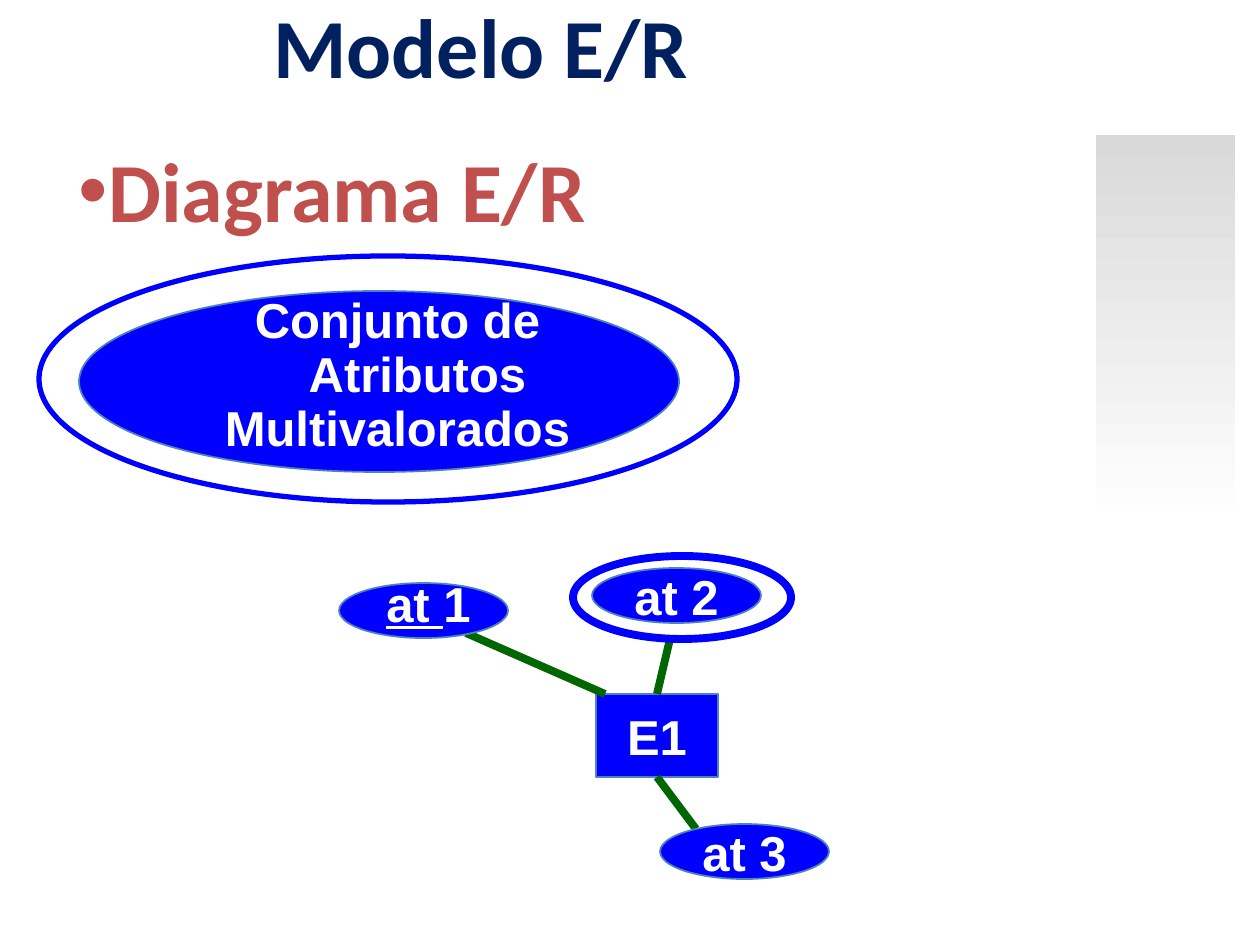
from lxml import etree
from pptx import Presentation
from pptx.dml.color import RGBColor
from pptx.enum.shapes import MSO_CONNECTOR, MSO_SHAPE
from pptx.enum.text import MSO_ANCHOR, PP_ALIGN
from pptx.oxml.ns import qn
from pptx.util import Emu, Pt

RECTANGLE, ELLIPSE = MSO_SHAPE.RECTANGLE, MSO_SHAPE.OVAL
STRAIGHT = MSO_CONNECTOR.STRAIGHT
LEFT, CENTER = PP_ALIGN.LEFT, PP_ALIGN.CENTER
TOP, MIDDLE = MSO_ANCHOR.TOP, MSO_ANCHOR.MIDDLE
NAVY = RGBColor(0x00, 0x20, 0x60)
RED = RGBColor(0xC0, 0x50, 0x4D)
BLUE = RGBColor(0x00, 0x00, 0xFF)
STEEL = RGBColor(0x4F, 0x81, 0xBD)
GREEN = RGBColor(0x00, 0x66, 0x00)
WHITE = RGBColor(0xFF, 0xFF, 0xFF)
GRAY = RGBColor(0xD9, 0xD9, 0xD9)
TOP_SIDE, BOTTOM_SIDE = 0, 2


def px(length):
    return Emu(round(length * 914400 / 126))


def write_text(frame, paragraphs, font="Arial", size=28, color=WHITE, align=CENTER,
               anchor=TOP, inset=(9, 5), line_spacing=1.0, bullet_indent=0, indents=None):
    """Fill a frame; a paragraph is a list of (text, underlined) runs or a plain string."""
    frame.word_wrap = True
    frame.vertical_anchor = anchor
    frame.margin_left = frame.margin_right = px(inset[0])
    frame.margin_top = frame.margin_bottom = px(inset[1])
    for index, content in enumerate(paragraphs):
        paragraph = frame.paragraphs[0] if index == 0 else frame.add_paragraph()
        paragraph.alignment = align
        paragraph.line_spacing = line_spacing
        paragraph.space_before = Pt(0)
        properties = paragraph._p.get_or_add_pPr()
        if bullet_indent:
            properties.set("marL", str(px(bullet_indent)))
            properties.set("indent", str(-px(bullet_indent)))
            etree.SubElement(properties, qn("a:buFont")).set("typeface", "Arial")
            etree.SubElement(properties, qn("a:buChar")).set("char", "•")
        elif indents:
            properties.set("marL", str(px(indents[index])))
        runs = [(content, False)] if isinstance(content, str) else content
        for text, underlined in runs:
            run = paragraph.add_run()
            run.text = text
            run.font.name, run.font.size, run.font.bold = font, Pt(size), True
            run.font.color.rgb = color
            run.font.underline = underlined


class Diagram:
    def __init__(self, slide):
        self.slide = slide

    def title(self, text, *box):
        title = self.slide.shapes.title
        title.left, title.top, title.width, title.height = map(px, box)
        write_text(title.text_frame, [text], font="Calibri", size=48, color=NAVY,
                   inset=(13, 6))

    def text(self, paragraphs, *box, **style):
        label = self.slide.shapes.add_textbox(*map(px, box))
        write_text(label.text_frame, paragraphs, **style)

    def shape(self, kind, *box):
        shape = self.slide.shapes.add_shape(kind, *map(px, box))
        shape.shadow.inherit = False
        return shape

    def node(self, kind, *box, label=None):
        node = self.shape(kind, *box)
        node.fill.solid()
        node.fill.fore_color.rgb = BLUE
        node.line.color.rgb, node.line.width = STEEL, Pt(1)
        if label:
            write_text(node.text_frame, [label], anchor=MIDDLE, inset=(0, 5))
            node.text_frame.word_wrap = False
        return node

    def ring(self, *box, width):
        ring = self.shape(ELLIPSE, *box)
        ring.fill.background()
        ring.line.color.rgb, ring.line.width = BLUE, Pt(width)

    def fading_band(self, *box):
        band = self.shape(RECTANGLE, *box)
        band.line.fill.background()
        band.fill.gradient()
        band.fill.gradient_angle = 270
        start, end = band.fill.gradient_stops
        start.color.rgb, start.position = GRAY, 0
        end.color.rgb, end.position = WHITE, 0.5

    def link(self, start, end):
        link = self.slide.shapes.add_connector(STRAIGHT, *map(px, start + end))
        link.line.color.rgb, link.line.width = GREEN, Pt(4.5)
        etree.SubElement(link._element.spPr, qn("a:effectLst"))
        return link


def main():
    presentation = Presentation()
    presentation.slide_width, presentation.slide_height = px(1260), px(945)
    diagram = Diagram(presentation.slides.add_slide(presentation.slide_layouts[5]))

    diagram.fading_band(1096, 135, 139, 784)
    diagram.title("Modelo E/R", -86, -11, 1134, 158)
    diagram.text(["Diagrama E/R"], 74, 134, 1071, 101, font="Calibri", size=48,
                 color=RED, align=LEFT, inset=(5, 5), bullet_indent=24)

    diagram.node(ELLIPSE, 79, 291, 600, 181)
    diagram.text(["Conjunto de", "Atributos", "Multivalorados"], 198, 290, 399, 178,
                 line_spacing=0.92, indents=(0, 40, 0))
    diagram.ring(39, 256, 698, 246, width=3)

    entity = diagram.node(RECTANGLE, 596, 694, 122, 83, label="E1")
    diagram.link((657, 777), (696, 829)).begin_connect(entity, BOTTOM_SIDE)
    diagram.link((466, 633), (605, 694))
    diagram.link((670, 639), (657, 694)).end_connect(entity, TOP_SIDE)

    for left, top, label in ((339, 583, None), (592, 568, "at 2"), (660, 824, "at 3")):
        diagram.node(ELLIPSE, left, top, 169, 55, label=label)
    diagram.text([[("at ", True), ("1", False)]], 359, 568, 139, 69)
    diagram.ring(573, 556, 218, 83, width=4.5)

    presentation.save("out.pptx")


if __name__ == "__main__":
    main()
